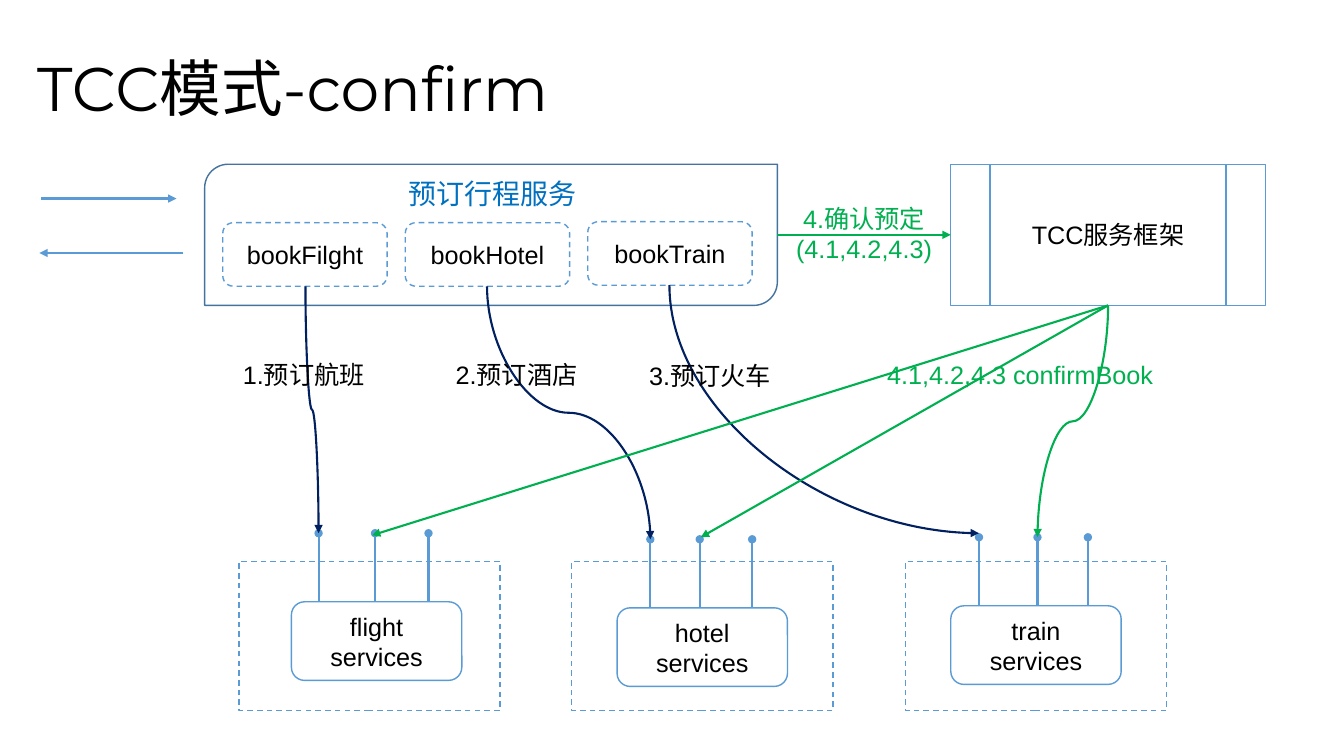
from lxml import etree
from pptx import Presentation
from pptx.dml.color import RGBColor
from pptx.enum.dml import MSO_LINE
from pptx.enum.shapes import MSO_CONNECTOR, MSO_SHAPE
from pptx.enum.text import MSO_ANCHOR, MSO_AUTO_SIZE, PP_ALIGN
from pptx.oxml.ns import qn
from pptx.util import Pt

STRAIGHT, CURVE = MSO_CONNECTOR.STRAIGHT, MSO_CONNECTOR.CURVE
RECTANGLE, ROUNDED = MSO_SHAPE.RECTANGLE, MSO_SHAPE.ROUNDED_RECTANGLE
DIAGONAL = MSO_SHAPE.ROUND_2_DIAG_RECTANGLE
PROCESS = MSO_SHAPE.FLOWCHART_PREDEFINED_PROCESS
DASH = MSO_LINE.DASH
LEFT, CENTER = PP_ALIGN.LEFT, PP_ALIGN.CENTER
MIDDLE = MSO_ANCHOR.MIDDLE
NO_FIT, GROW = MSO_AUTO_SIZE.NONE, MSO_AUTO_SIZE.SHAPE_TO_FIT_TEXT
TOP_SIDE, LEFT_SIDE, BOTTOM_SIDE = 0, 1, 2

PX = 9144
THEME = {
    "black": RGBColor(0x00, 0x00, 0x00),
    "white": RGBColor(0xFF, 0xFF, 0xFF),
    "blue": RGBColor(0x5B, 0x9B, 0xD5),
    "panel": RGBColor(0x43, 0x73, 0x9E),
    "heading": RGBColor(0x00, 0x70, 0xC0),
    "navy": RGBColor(0x00, 0x20, 0x60),
    "green": RGBColor(0x00, 0xB0, 0x50),
    "title_font": "Montserrat",
    "body_font": "Arial",
    "title_size": Pt(44),
    "heading_size": Pt(20),
    "body_size": Pt(18),
    "outline": Pt(1),
    "connector": Pt(1.5),
}

presentation = Presentation()
presentation.slide_width = 1333 * PX
presentation.slide_height = 750 * PX
slide = presentation.slides.add_slide(presentation.slide_layouts[6])


def add_box(kind, left, top, width, height, text="", color="black", size="body_size",
            font="body_font", align=CENTER, line="blue", dash=None, wrap=True):
    area = [value * PX for value in (left, top, width, height)]
    if kind is None:
        shape = slide.shapes.add_textbox(*area)
    else:
        shape = slide.shapes.add_shape(kind, *area)
        shape.shadow.inherit = False
        shape.fill.solid()
        shape.fill.fore_color.rgb = THEME["white"]
        shape.line.color.rgb = THEME[line]
        shape.line.width = THEME["outline"]
        if dash is not None:
            shape.line.dash_style = dash
        shape.text_frame.vertical_anchor = MIDDLE
    frame = shape.text_frame
    frame.word_wrap = wrap
    frame.auto_size = NO_FIT if wrap else GROW
    if text:
        frame.text = text
        for paragraph in frame.paragraphs:
            paragraph.alignment = align
            for run in paragraph.runs:
                run.font.size = THEME[size]
                run.font.name = THEME[font]
                run.font.color.rgb = THEME[color]
    return shape


def add_link(start, end, color, tail="triangle", kind=STRAIGHT):
    connector = slide.shapes.add_connector(kind, *[value * PX for value in start + end])
    connector.line.color.rgb = THEME[color]
    connector.line.width = THEME["connector"]
    outline = connector.line._get_or_add_ln()
    etree.SubElement(outline, qn("a:tailEnd"), type=tail)
    etree.SubElement(connector._element.spPr, qn("a:effectLst"))
    return connector


title = add_box(None, 27, 53, 607, 76, "TCC模式-confirm", size="title_size",
                font="title_font", align=LEFT)
title.text_frame.vertical_anchor = MIDDLE
title.text_frame.paragraphs[0].line_spacing = 0.9

add_box(DIAGONAL, 203, 163, 568, 140, line="panel")
bookings = [
    add_box(ROUNDED, left, top, 163, 63, name, dash=DASH)
    for left, top, name in [(221, 221, "bookFilght"), (402, 221, "bookHotel"),
                            (583, 220, "bookTrain")]
]
add_box(None, 395, 170, 188, 44, "预订行程服务", "heading", "heading_size",
        align=LEFT, wrap=False)
framework = add_box(PROCESS, 943, 163, 312, 140, "TCC服务框架")

add_link((771, 233), (943, 233), "green").end_connect(framework, LEFT_SIDE)
add_box(None, 779, 197, 156, 71, "4.确认预定\n(4.1,4.2,4.3)", "green", wrap=False)
add_link((41, 197), (175, 197), "blue")
add_link((182, 251), (39, 251), "blue")

services = [
    ("flight", 237, 289, 597, (316, 372, 425)),
    ("hotel", 567, 612, 603, (645, 694, 746)),
    ("train", 898, 943, 601, (971, 1029, 1079)),
]
for name, zone_left, service_left, service_top, stems in services:
    add_box(RECTANGLE, zone_left, 557, 259, 148, dash=DASH)
    add_box(ROUNDED, service_left, service_top, 169, 78, f"{name}\nservices")
    for stem in stems:
        add_link((stem, service_top), (stem, service_top - 68), "blue", "oval")

flight, hotel, train = bookings
curves = [
    (flight, (303, 284), (316, 529), "navy", "curvedConnector3"),
    (hotel, (483, 284), (645, 535), "navy", "curvedConnector3"),
    (train, (664, 283), (971, 529), "navy", "curvedConnector2"),
    (framework, (1099, 303), (1029, 533), "green", "curvedConnector3"),
]
for source, start, end, color, preset in curves:
    curve = add_link(start, end, color, kind=CURVE)
    curve.begin_connect(source, BOTTOM_SIDE)
    across, down = end[0] - start[0], end[1] - start[1]
    curve.width, curve.height = down * PX, abs(across) * PX
    curve.left = (start[0] + end[0] - down) * PX // 2
    curve.top = (start[1] + end[1] - abs(across)) * PX // 2
    properties = curve._element.spPr
    properties.find(qn("a:prstGeom")).set("prst", preset)
    transform = properties.find(qn("a:xfrm"))
    for flip in ("flipH", "flipV"):
        transform.attrib.pop(flip, None)
    if across > 0:
        transform.set("rot", str(270 * 60000))
        transform.set("flipH", "1")
    else:
        transform.set("rot", str(90 * 60000))

for end in [(695, 533), (369, 531)]:
    add_link((1099, 303), end, "green").begin_connect(framework, BOTTOM_SIDE)

for left, top, step in [(231, 352, "1.预订航班"), (442, 352, "2.预订酒店"),
                        (634, 353, "3.预订火车")]:
    add_box(None, left, top, 142, 40, step, align=LEFT)
add_box(None, 870, 352, 287, 40, "4.1,4.2,4.3 confirmBook", "green", align=LEFT, wrap=False)

presentation.save("out.pptx")
